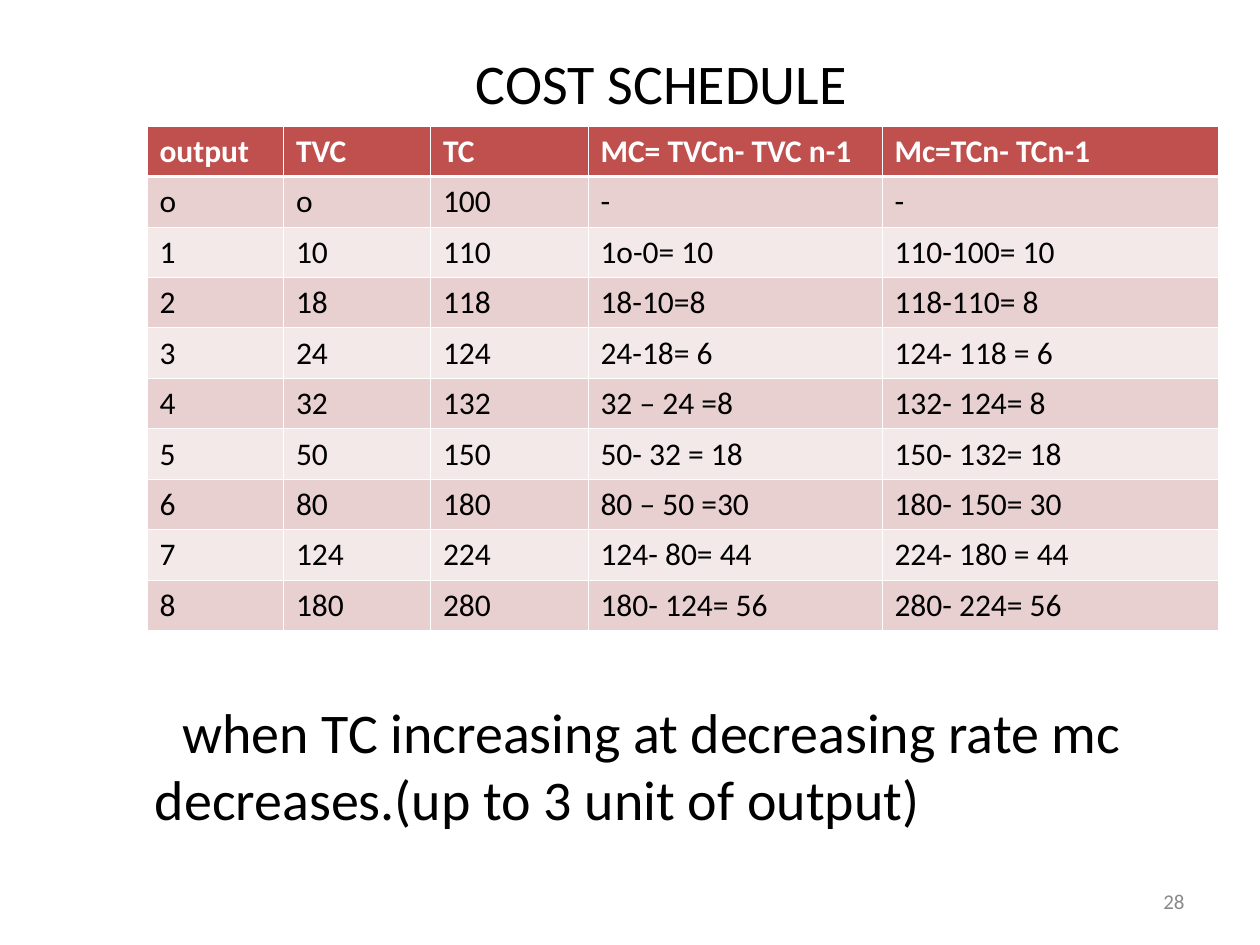
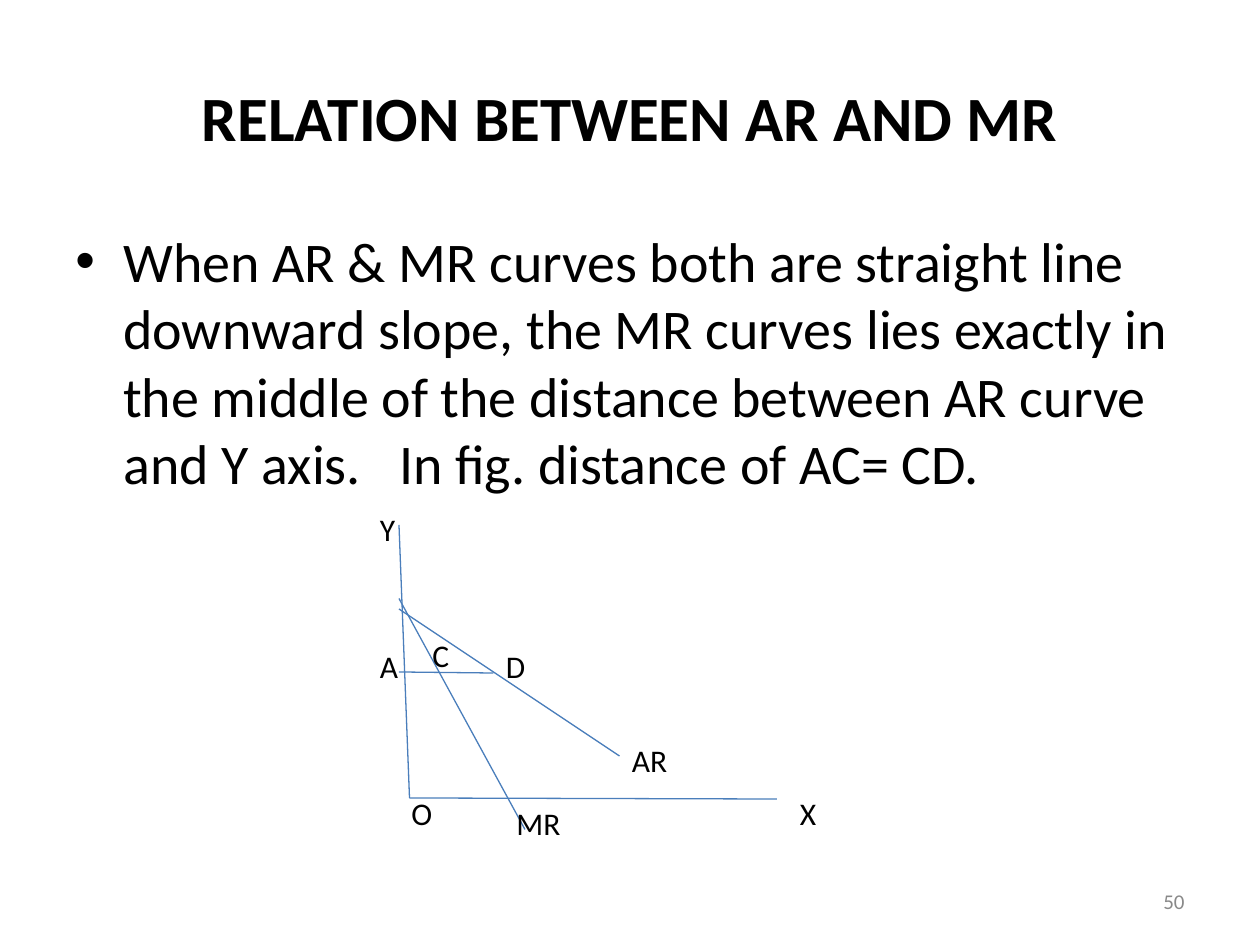
from lxml.etree import SubElement as Sub
from pptx import Presentation
from pptx.dml.color import RGBColor as RGB
from pptx.enum.shapes import MSO_CONNECTOR as Conn
from pptx.enum.text import MSO_ANCHOR as Anchor, PP_ALIGN as Align
from pptx.oxml.ns import qn
from pptx.util import Inches, Pt

FONT = "Calibri"
COLORS = {"text": "000000", "muted": "898989", "white": "FFFFFF", "header": "C0504D",
          "band_dark": "E8D0D0", "band_light": "F4E9E9", "line": "4A7EBB"}
UNIT = Inches(10) // 120
HANG = Inches(0.38)

COST_COLUMNS = [13, 14, 15, 28, 32]
COST_ROWS = [
    ["output", "TVC", "TC", "MC= TVCn- TVC n-1", "Mc=TCn- TCn-1"],
    ["o", "o", "100", "-", "-"],
    ["1", "10", "110", "1o-0= 10", "110-100= 10"],
    ["2", "18", "118", "18-10=8", "118-110= 8"],
    ["3", "24", "124", "24-18= 6", "124- 118 = 6"],
    ["4", "32", "132", "32 – 24 =8", "132- 124= 8"],
    ["5", "50", "150", "50- 32 = 18", "150- 132= 18"],
    ["6", "80", "180", "80 – 50 =30", "180- 150= 30"],
    ["7", "124", "224", "124- 80= 44", "224- 180 = 44"],
    ["8", "180", "280", "180- 124= 56", "280- 224= 56"],
]
CURVES = {"y_axis": (3, 2, 4, 28), "x_axis": (4, 28, 39, 28.1), "mr": (3, 9, 15, 31),
          "ar": (3, 10, 24, 24), "a_to_d": (3, 16, 12, 16.1)}
LABELS = {"AR": (24, 22, 6), "MR": (13, 28, 12), "D": (12, 13, 4.2), "C": (5, 12, 7),
          "A": (0, 13, 4.5), "X": (40, 27, 4), "O": (3, 27, 4.3), "Y": (0, 0, 4.5)}


def grid(*values):
    """Turn grid units, 120 by 90 on the slide, into lengths."""
    return [round(v * UNIT) for v in values]


def style(p, text, size=18, color="text", bold=False, align=Align.LEFT):
    """Write one run into a paragraph with its format."""
    p.alignment = align
    r = p.add_run()
    r.text = text
    f = r.font
    f.name, f.size, f.bold = FONT, Pt(size), bold
    f.color.rgb = RGB.from_string(COLORS[color])


def add_text(slide, box, text, anchor=Anchor.TOP, margin=0, indent=0,
             bullet=None, tab=None, **fmt):
    """Add a wrapped text box with one paragraph."""
    tf = slide.shapes.add_textbox(*grid(*box)).text_frame
    tf.word_wrap = True
    tf.vertical_anchor = anchor
    p = tf.paragraphs[0]
    pPr = p._p.get_or_add_pPr()
    if margin:
        pPr.set("marL", str(margin))
        pPr.set("indent", str(indent))
    if bullet:
        Sub(pPr, qn("a:buFont"), typeface="Arial")
        Sub(pPr, qn("a:buChar"), char=bullet)
    if tab:
        Sub(Sub(pPr, qn("a:tabLst")), qn("a:tab"), pos=str(tab), algn="l")
    style(p, text, **fmt)


def add_number(slide, number):
    """Place the slide number at the lower right."""
    add_text(slide, (86, 83.4, 28, 4.8), str(number), anchor=Anchor.MIDDLE,
             size=12, color="muted", align=Align.RIGHT)


def add_border(cell, side, width):
    """Draw one white edge of a cell."""
    ln = Sub(cell._tc.get_or_add_tcPr(), qn(f"a:ln{side}"), w=str(Pt(width)))
    Sub(Sub(ln, qn("a:solidFill")), qn("a:srgbClr"), val=COLORS["white"])


def add_cost_table(slide, box):
    """Fill the box with the banded cost table."""
    left, top, width, height = grid(*box)
    tbl = slide.shapes.add_table(len(COST_ROWS), len(COST_COLUMNS),
                                 left, top, width, height).table
    tbl.horz_banding = False
    for col, share in zip(tbl.columns, COST_COLUMNS):
        col.width = round(width * share / sum(COST_COLUMNS))
    for i, row in enumerate(COST_ROWS):
        band = "header" if i == 0 else "band_dark" if i % 2 else "band_light"
        thick = {0: "B", 1: "T"}.get(i)
        for j, text in enumerate(row):
            cell = tbl.cell(i, j)
            for side in "LRTB":
                add_border(cell, side, 1.47 if side == thick else 0.45)
            cell.fill.solid()
            cell.fill.fore_color.rgb = RGB.from_string(COLORS[band])
            style(cell.text_frame.paragraphs[0], text, bold=i == 0,
                  color="white" if i == 0 else "text")


def add_revenue_diagram(slide, left, top):
    """Draw the AR and MR curves, axes and labels from a corner."""
    for x1, y1, x2, y2 in CURVES.values():
        ends = grid(left + x1, top + y1, left + x2, top + y2)
        ln = slide.shapes.add_connector(Conn.STRAIGHT, *ends)
        ln.line.color.rgb = RGB.from_string(COLORS["line"])
        ln.line.width = Pt(0.75)
        Sub(ln._element.spPr, qn("a:effectLst"))
    for text, (x, y, width) in LABELS.items():
        add_text(slide, (left + x, top + y, width, 4.8), text)


def cost_slide(slide):
    """Build the cost schedule slide."""
    add_text(slide, (9, 4, 108, 8), "COST SCHEDULE", size=32, align=Align.CENTER)
    add_text(slide, (9, 65.8, 108, 14.5), "when TC increasing at decreasing rate mc "
             "decreases.(up to 3 unit of output)", size=32,
             margin=HANG, indent=Inches(0.22))
    add_number(slide, 28)
    add_cost_table(slide, (14, 12, 102, 48))


def revenue_slide(slide):
    """Build the slide on average and marginal revenue."""
    add_text(slide, (6, 3.6, 108, 15), "RELATION BETWEEN AR AND MR", size=36,
             bold=True, align=Align.CENTER, anchor=Anchor.MIDDLE)
    add_text(slide, (6, 21, 108, 59.4), "When AR & MR curves both are straight line "
             "downward slope, the MR curves lies exactly in the middle of the distance "
             "between AR curve and Y axis.\tIn fig. distance of AC= CD.", size=32,
             margin=HANG, indent=-HANG, bullet="•", tab=Inches(2.57))
    add_number(slide, 50)
    add_revenue_diagram(slide, 35, 48)


def main():
    """Build and save the presentation."""
    prs = Presentation()
    prs.slide_width, prs.slide_height = grid(120, 90)
    for build in (cost_slide, revenue_slide):
        build(prs.slides.add_slide(prs.slide_layouts[6]))
    prs.save("out.pptx")


if __name__ == "__main__":
    main()
